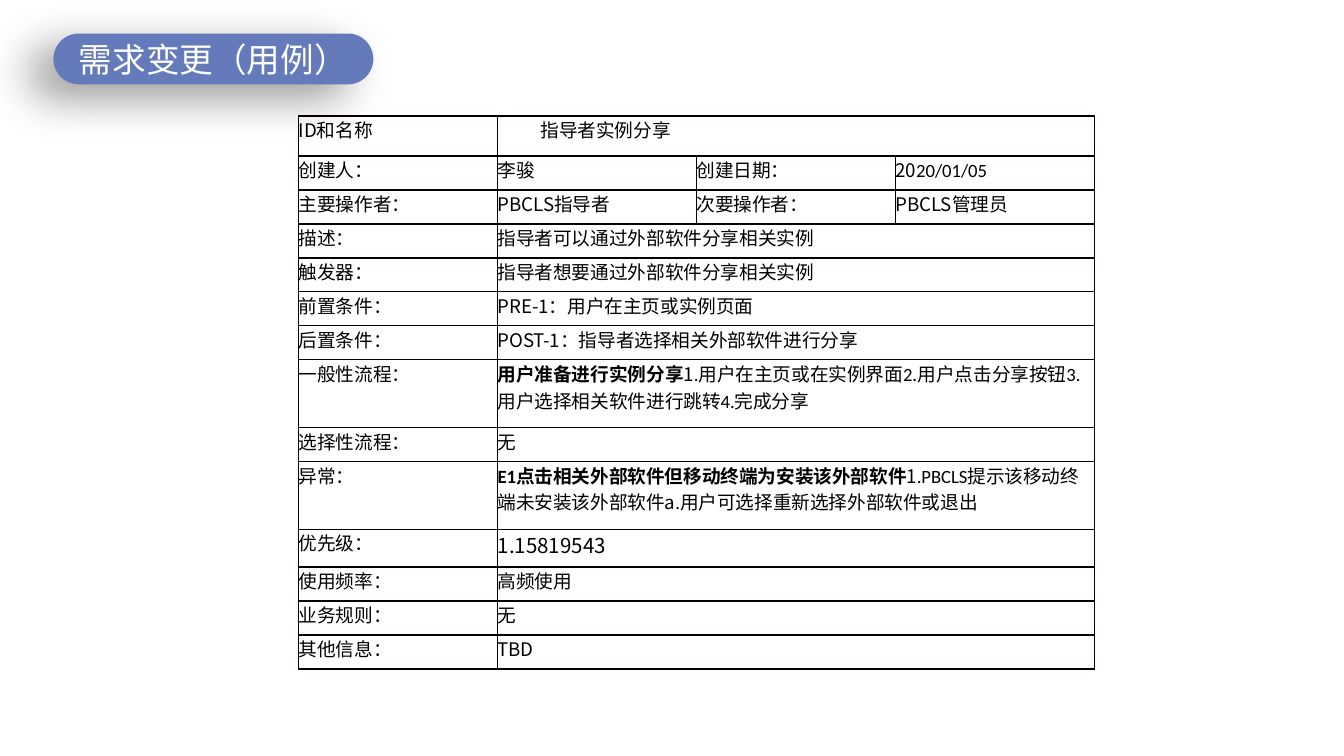
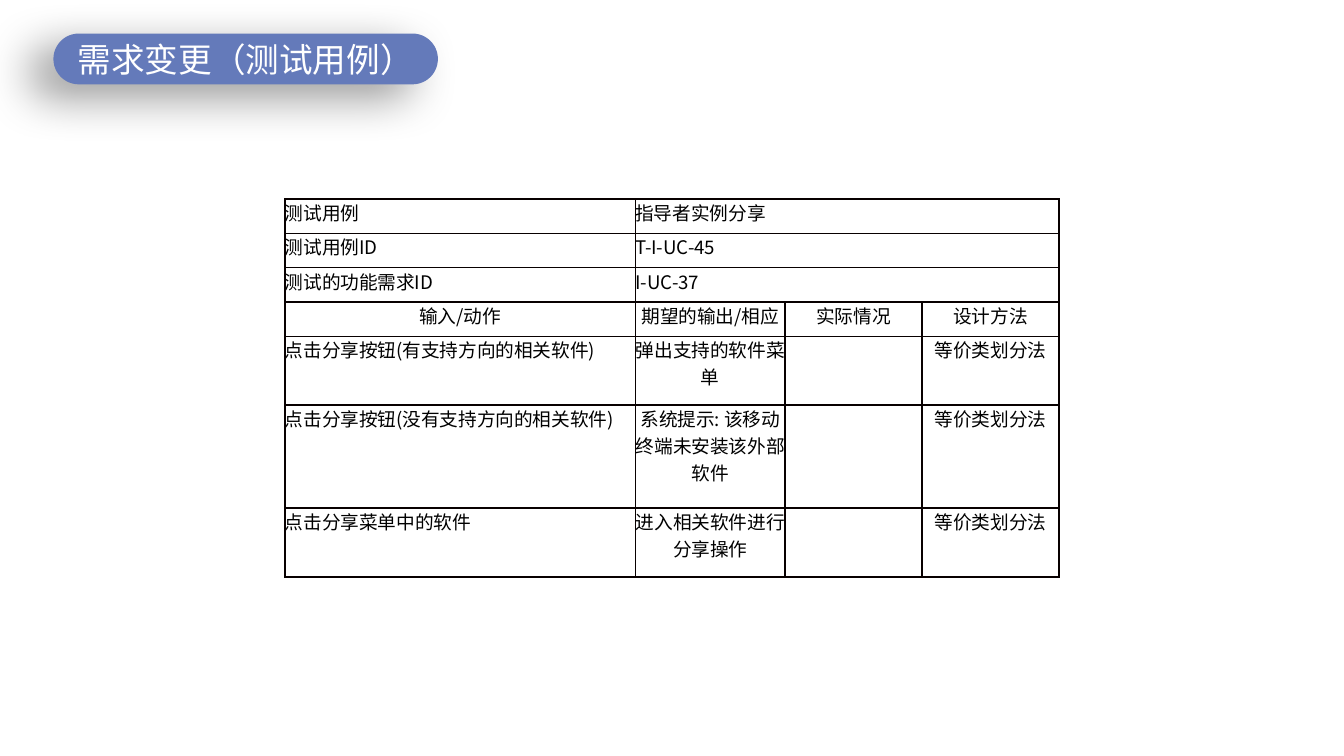
from pptx import Presentation
from pptx.dml.color import RGBColor
from pptx.enum.shapes import MSO_SHAPE as Shape
from pptx.enum.text import MSO_ANCHOR as Anchor, PP_ALIGN as Align
from pptx.oxml import parse_xml
from pptx.oxml.ns import nsdecls, qn
from pptx.util import Pt

LATIN, CJK = "Calibri", "Noto Sans CJK SC"
BAND, WHITE, BLACK, GRID = "647ABA", "FFFFFF", "000000", "080000"


def color(value):
    return RGBColor.from_string(value)


class Deck:
    """Shared style and the slide being built."""

    def __init__(self):
        self.prs = Presentation()
        self.prs.slide_width, self.prs.slide_height = Pt(720), Pt(405)
        self.slide = None

    def new_slide(self, title, title_width):
        self.slide = self.prs.slides.add_slide(self.prs.slide_layouts[6])
        self.title(title, title_width)

    def run(self, paragraph, text, size=10, font=CJK, ink=BLACK, bold=False):
        run = paragraph.add_run()
        run.text = text
        run.font.size, run.font.name, run.font.bold = Pt(size), font, bold
        run.font.color.rgb = color(ink)
        east_asian = parse_xml(f'<a:ea {nsdecls("a")} typeface="{CJK}"/>')
        run.font._element.find(qn("a:latin")).addnext(east_asian)

    def title(self, text, width):
        pill = self.slide.shapes.add_shape(
            Shape.ROUNDED_RECTANGLE, Pt(28.6), Pt(18), Pt(width), Pt(27.2))
        pill.adjustments[0] = 0.5
        pill.fill.solid()
        pill.fill.fore_color.rgb = color(BAND)
        pill.line.fill.background()
        self.soft_shadow(pill)
        frame = pill.text_frame
        frame.word_wrap = True
        frame.vertical_anchor = Anchor.MIDDLE
        frame.paragraphs[0].alignment = Align.CENTER
        self.run(frame.paragraphs[0], text, 18, LATIN, WHITE)

    def soft_shadow(self, shape):
        shape.shadow.inherit = False
        effects = shape._element.spPr.find(qn("a:effectLst"))
        effects.append(parse_xml(
            f'<a:outerShdw {nsdecls("a")} blurRad="{Pt(25)}" dist="{Pt(15)}" '
            f'dir="{150 * 60000}" algn="tr" rotWithShape="0">'
            f'<a:srgbClr val="{BLACK}"><a:alpha val="40000"/></a:srgbClr>'
            '</a:outerShdw>'))

    def cell(self, cell, content, align):
        # Borders come before the fill in the cell properties
        properties = cell._tc.get_or_add_tcPr()
        for side in ("lnL", "lnR", "lnT", "lnB"):
            properties.append(parse_xml(
                f'<a:{side} {nsdecls("a")} w="{Pt(1)}"><a:solidFill>'
                f'<a:srgbClr val="{GRID}"/></a:solidFill></a:{side}>'))
        cell.fill.background()
        cell.margin_left = cell.margin_right = 0
        cell.margin_top = cell.margin_bottom = 0
        paragraph = cell.text_frame.paragraphs[0]
        paragraph.alignment = align
        runs = [(content, {})] if isinstance(content, str) else content
        for text, style in runs:
            if text:
                self.run(paragraph, text, **style)

    def table(self, left, top, widths, heights, rows, centred=lambda r, c: False):
        """Rows with two entries stretch the second over the other columns."""
        last = len(widths) - 1
        table = self.slide.shapes.add_table(
            len(rows), len(widths), Pt(left), Pt(top),
            Pt(sum(widths)), Pt(sum(heights))).table
        table.first_row = table.horz_banding = False
        for column, width in zip(table.columns, widths):
            column.width = Pt(width)
        for r, (entries, height) in enumerate(zip(rows, heights)):
            table.rows[r].height = Pt(height)
            if len(entries) == 2:
                table.cell(r, 1).merge(table.cell(r, last))
            for c in range(last + 1):
                content = entries[c] if c < len(entries) else ""
                align = Align.CENTER if centred(r, c) else Align.LEFT
                self.cell(table.cell(r, c), content, align)
        return table


BOLD, CALIBRI = {"bold": True}, {"font": LATIN}

USE_CASE = [
    ("ID和名称", "指导者实例分享"),
    ("创建人：", "李骏", "创建日期：", [("20", {}), ("20/01/05", CALIBRI)]),
    ("主要操作者：", "PBCLS指导者", "次要操作者：", "PBCLS管理员"),
    ("描述：", "指导者可以通过外部软件分享相关实例"),
    ("触发器：", "指导者想要通过外部软件分享相关实例"),
    ("前置条件：", "PRE-1：用户在主页或实例页面"),
    ("后置条件：", "POST-1：指导者选择相关外部软件进行分享"),
    ("一般性流程：", [
        ("用户准备进行实例分享", BOLD), ("1", {}), (".", CALIBRI),
        ("用户在主页或在实例界面", {}), ("2", CALIBRI),
        (".用户点击分享按钮", {}), ("3.", CALIBRI),
        ("用户选择相关软件进行跳转", {}), ("4.", CALIBRI), ("完成分享", {})]),
    ("选择性流程：", "无"),
    ("异常：", [
        ("E1", {**BOLD, **CALIBRI}),
        ("点击相关外部软件但移动终端为安装该外部软件", BOLD),
        ("1", {}), (".PBCLS", CALIBRI),
        ("提示该移动终端未安装该外部软件a", {}), (".", CALIBRI),
        ("用户可选择重新选择外部软件或退出", {})]),
    ("优先级：", [("1.15819543", {"size": 11})]),
    ("使用频率：", "高频使用"),
    ("业务规则：", "无"),
    ("其他信息：", "TBD"),
]

METHOD = "等价类划分法"
TEST_CASE = [
    ("测试用例", "指导者实例分享"),
    ("测试用例ID", "T-I-UC-45"),
    ("测试的功能需求ID", "I-UC-37"),
    ("输入/动作", "期望的输出/相应", "实际情况", "设计方法"),
    ("点击分享按钮(有支持方向的相关软件)", "弹出支持的软件菜单", "", METHOD),
    ("点击分享按钮(没有支持方向的相关软件)",
     "系统提示: 该移动终端未安装该外部软件", "", METHOD),
    ("点击分享菜单中的软件", "进入相关软件进行分享操作", "", METHOD),
]
HEADER_ROW = 3


def main():
    deck = Deck()

    # Use case
    deck.new_slide("需求变更（用例）", 171.4)
    line = 18.2
    heights = [21.5] + [line] * 6 + [2 * line, line, 2 * line, 20.2] + [line] * 3
    use_case = deck.table(160, 62, [106.6] * 4, heights, USE_CASE)
    use_case.cell(0, 1).margin_left = Pt(23)

    # Test case
    deck.new_slide("需求变更（测试用例）", 206)
    heights = [18.4 * lines for lines in (1, 1, 1, 1, 2, 3, 2)]
    deck.table(152.6, 106.6, [187.8, 80.2, 73.4, 73.4], heights, TEST_CASE,
               lambda r, c: r == HEADER_ROW or (r > HEADER_ROW and c > 0))

    deck.prs.save("out.pptx")


if __name__ == "__main__":
    main()
